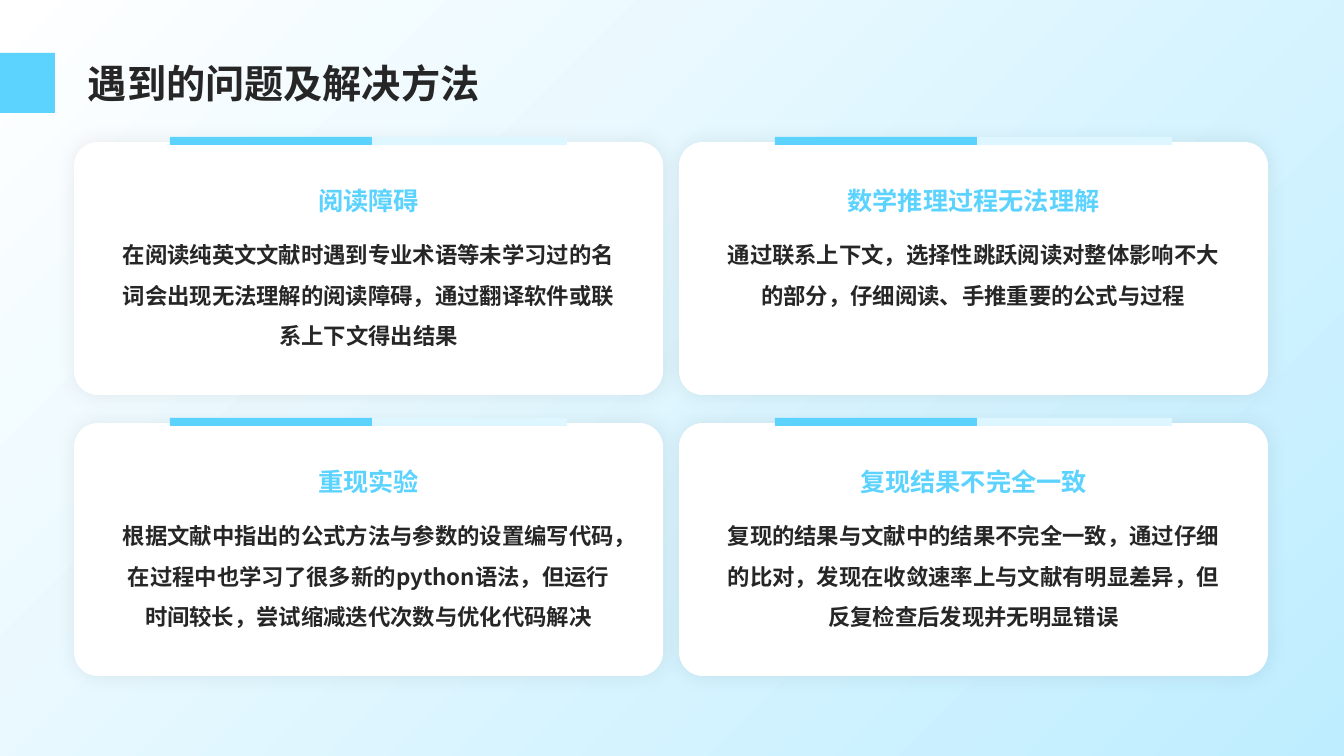
"""Build a slide with four cards on problems met and how they were solved."""
from lxml import etree
from pptx import Presentation
from pptx import util as u
from pptx.dml.color import RGBColor
from pptx.enum import shapes, text
from pptx.oxml.ns import qn

PX = 914400 / 100.8
FONT = "Noto Sans CJK SC"
SKY = RGBColor(0x5C, 0xD3, 0xFF)
PALE = RGBColor(0xDE, 0xF6, 0xFF)
MIST = RGBColor(0xBE, 0xED, 0xFF)
WHITE = RGBColor(0xFF, 0xFF, 0xFF)
INK = RGBColor(0x26, 0x26, 0x26)

CARDS = [
    ("阅读障碍", "在阅读纯英文文献时遇到专业术语等未学习过的名词会出现无法理解的阅读障碍，通过翻译软件或联系上下文得出结果"),
    ("数学推理过程无法理解", "通过联系上下文，选择性跳跃阅读对整体影响不大的部分，仔细阅读、手推重要的公式与过程"),
    ("重现实验", "根据文献中指出的公式方法与参数的设置编写代码，在过程中也学习了很多新的python语法，但运行时间较长，尝试缩减迭代次数与优化代码解决"),
    ("复现结果不完全一致", "复现的结果与文献中的结果不完全一致，通过仔细的比对，发现在收敛速率上与文献有明显差异，但反复检查后发现并无明显错误"),
]


def add_block(parent, kind, place, color):
    block = parent.add_shape(kind, *[round(n * PX) for n in place])
    block.shadow.inherit = False
    block.line.fill.background()
    block.fill.solid()
    block.fill.fore_color.rgb = color
    return block


def write(box, words, size, color, align, spacing):
    frame = box.text_frame
    frame.word_wrap = True
    frame.auto_size = text.MSO_AUTO_SIZE.NONE
    frame.text = words
    para = frame.paragraphs[0]
    para.alignment = align
    para.line_spacing = spacing
    font = para.runs[0].font
    font.size = u.Pt(size)
    font.bold = True
    font.color.rgb = color
    font.name = FONT
    etree.SubElement(para.runs[0]._r.get_or_add_rPr(), qn("a:ea"), typeface=FONT)


deck = Presentation()
deck.slide_width = round(1344 * PX)
deck.slide_height = round(756 * PX)
page = deck.slides.add_slide(deck.slide_layouts[5])

backdrop = add_block(page.shapes, shapes.MSO_SHAPE.FLOWCHART_PROCESS, (0, 0, 1344, 756), WHITE)
backdrop.fill.gradient()
backdrop.fill.gradient_angle = 135
for stop, color in zip(backdrop.fill.gradient_stops, (MIST, WHITE)):
    stop.color.rgb = color

for index, (heading, body) in enumerate(CARDS):
    row, column = divmod(index, 2)
    x, y = 74 + 605 * column, 142 + 281 * row

    card = add_block(page.shapes, shapes.MSO_SHAPE.ROUNDED_RECTANGLE, (x, y, 589, 253), WHITE)
    card.adjustments[0] = 0.094
    card.rotation = 180
    effects = card._element.spPr.find(qn("a:effectLst"))
    shadow = etree.SubElement(effects, qn("a:outerShdw"), blurRad=str(u.Pt(15)), dist="0", dir="0",
                              algn="ctr", rotWithShape="0")
    shade = etree.SubElement(shadow, qn("a:srgbClr"), val="000000")
    etree.SubElement(shade, qn("a:alpha"), val="8000")

    body_box = page.shapes.add_textbox(*[round(n * PX) for n in (x + 33, y + 81, 523, 153)])
    write(body_box, body, 16, INK, text.PP_ALIGN.CENTER, 1.5)

    bars = page.shapes.add_group_shape()
    for offset, color in ((291, PALE), (96, SKY)):
        add_block(bars.shapes, shapes.MSO_SHAPE.RECTANGLE, (x + offset, y - 5, 202, 8), color)

    heading_box = page.shapes.add_textbox(*[round(n * PX) for n in (x + 33, y + 23, 523, 52)])
    write(heading_box, heading, 18, SKY, text.PP_ALIGN.CENTER, 1.5)

title = page.shapes.title
title.left, title.top, title.width, title.height = [round(n * PX) for n in (88, 55, 1198, 51)]
write(title, "遇到的问题及解决方法", 28, INK, text.PP_ALIGN.LEFT, 1.1)
frame = title.text_frame
frame.margin_left = frame.margin_right = frame.margin_top = frame.margin_bottom = 0
frame.vertical_anchor = text.MSO_ANCHOR.MIDDLE
page.shapes._spTree.append(title._element)

add_block(page.shapes, shapes.MSO_SHAPE.RECTANGLE, (0, 53, 55, 60), SKY)

deck.save("out.pptx")
